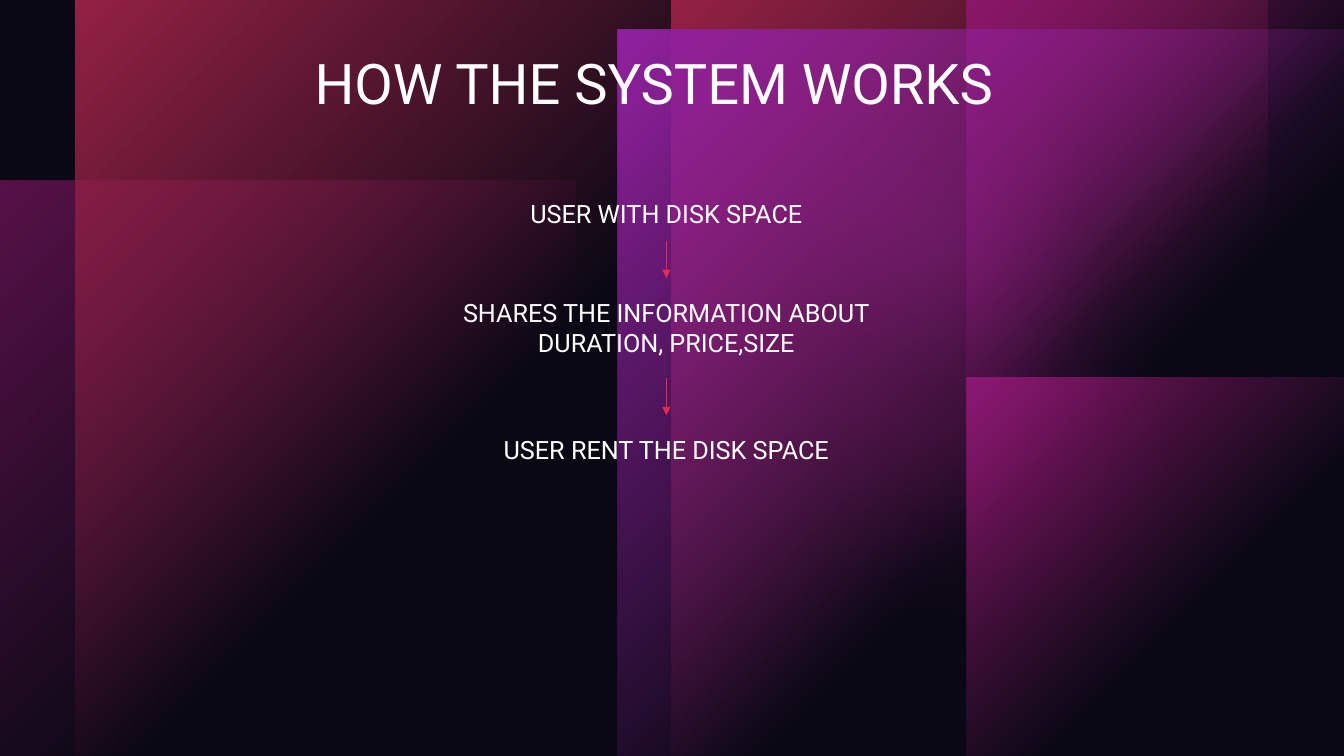
import dataclasses
import pptx
import pptx.dml.color
import pptx.enum.shapes
import pptx.enum.text
import pptx.oxml
import pptx.oxml.ns
import pptx.shapes.autoshape
import pptx.slide
import pptx.text.text
import pptx.util

Pt = pptx.util.Pt
NS = 'xmlns:a="http://schemas.openxmlformats.org/drawingml/2006/main"'
FONT = "Roboto"
HEX = {"black": "000000", "white": "FFFFFF", "red": "E72950",
       "pink": "D5178E", "violet": "DF29E7", "navy": "1A1634"}
WIDE, HIGH = 960, 540
MID = 476


@dataclasses.dataclass
class Panel:
    """A square or tall panel whose colour fades out from one corner."""
    left: float
    top: float
    width: float
    height: float
    hue: str
    turn: int = 0
    flip: bool = False
    alpha: int = 100


@dataclasses.dataclass
class Glow:
    """A round light with a soft edge."""
    left: float
    top: float
    size: float
    hue: str
    alpha: int
    soft: float


@dataclasses.dataclass
class Step:
    top: float
    width: float
    height: float
    lines: list[str]


BACK = Panel(0, 129, 411, 411, "pink", 270, alpha=60)
GLOWS = [Glow(502.5, 0, 340, "violet", 96, 100),
         Glow(482, 97, 433, "pink", 60, 127)]
PANELS = [
    Panel(479.5, 0, 425.5, 540, "red"),
    Panel(54, 0, 425.5, 540, "red", flip=True),
    Panel(690, 270, 270, 270, "pink", 90),
    Panel(690, 0, 270, 270, "pink", 90, True),
    Panel(441, 21, 519, 519, "violet", 180),
]
STEPS = [
    Step(138.2, 219, 29, ["USER WITH DISK SPACE"]),
    Step(208.8, 320, 51, ["SHARES THE INFORMATION ABOUT", "DURATION, PRICE,SIZE"]),
    Step(306.7, 252, 29, ["USER RENT THE DISK SPACE"]),
]
ARROWS = [172, 270]
REACH = 26.6


def rgb(hue: str) -> pptx.dml.color.RGBColor:
    return pptx.dml.color.RGBColor.from_string(HEX[hue])


def tint(hue: str, alpha: int) -> str:
    return f'<a:srgbClr val="{HEX[hue]}"><a:alpha val="{alpha * 1000}"/></a:srgbClr>'


def add_form(slide: pptx.slide.Slide, kind: pptx.enum.shapes.MSO_SHAPE, left: float,
             top: float, width: float, height: float,
             fill: str) -> pptx.shapes.autoshape.Shape:
    """Add a plain shape without outline, filled by the given XML."""
    shape = slide.shapes.add_shape(kind, Pt(left), Pt(top), Pt(width), Pt(height))
    shape.shadow.inherit = False
    shape.line.fill.background()
    geom = shape.element.spPr.find(pptx.oxml.ns.qn("a:prstGeom"))
    geom.addnext(pptx.oxml.parse_xml(fill))
    return shape


def add_panel(slide: pptx.slide.Slide, panel: Panel) -> None:
    fill = (f'<a:gradFill {NS} rotWithShape="1"><a:gsLst>'
            f'<a:gs pos="0">{tint(panel.hue, panel.alpha)}</a:gs>'
            f'<a:gs pos="60000">{tint(panel.hue, 0)}</a:gs></a:gsLst>'
            '<a:path path="circle"><a:fillToRect r="100000" b="100000"/></a:path>'
            '</a:gradFill>')
    shape = add_form(slide, pptx.enum.shapes.MSO_SHAPE.RECTANGLE, panel.left,
                     panel.top, panel.width, panel.height, fill)
    shape.rotation = panel.turn
    if panel.flip:
        shape.element.spPr.find(pptx.oxml.ns.qn("a:xfrm")).set("flipH", "1")


def add_glow(slide: pptx.slide.Slide, glow: Glow) -> None:
    fill = f'<a:solidFill {NS}>{tint(glow.hue, glow.alpha)}</a:solidFill>'
    shape = add_form(slide, pptx.enum.shapes.MSO_SHAPE.OVAL, glow.left, glow.top,
                     glow.size, glow.size, fill)
    edge = pptx.oxml.parse_xml(f'<a:softEdge {NS} rad="{Pt(glow.soft)}"/>')
    shape.element.spPr.find(pptx.oxml.ns.qn("a:effectLst")).append(edge)


def set_text(frame: pptx.text.text.TextFrame, lines: list[str], size: int,
             align: pptx.enum.text.PP_ALIGN) -> None:
    frame.text = "\n".join(lines)
    frame.word_wrap = False
    frame.auto_size = pptx.enum.text.MSO_AUTO_SIZE.SHAPE_TO_FIT_TEXT
    frame.vertical_anchor = pptx.enum.text.MSO_ANCHOR.TOP
    for para in frame.paragraphs:
        para.alignment = align
        para.font.name = FONT
        para.font.size = Pt(size)
        para.font.color.rgb = rgb("white")


def add_step(slide: pptx.slide.Slide, step: Step) -> None:
    box = slide.shapes.add_textbox(Pt(MID - step.width / 2), Pt(step.top),
                                   Pt(step.width), Pt(step.height))
    set_text(box.text_frame, step.lines, 18, pptx.enum.text.PP_ALIGN.CENTER)


def add_arrow(slide: pptx.slide.Slide, top: float) -> None:
    arrow = slide.shapes.add_connector(pptx.enum.shapes.MSO_CONNECTOR.STRAIGHT,
                                       Pt(MID), Pt(top), Pt(MID), Pt(top + REACH))
    arrow.line.color.rgb = rgb("red")
    arrow.line.width = Pt(0.5)
    arrow.line._get_or_add_ln().append(
        pptx.oxml.parse_xml(f'<a:tailEnd {NS} type="triangle"/>'))
    arrow.element.spPr.append(pptx.oxml.parse_xml(f'<a:effectLst {NS}/>'))


def main() -> None:
    deck = pptx.Presentation()
    deck.slide_width, deck.slide_height = Pt(WIDE), Pt(HIGH)
    slide = deck.slides.add_slide(deck.slide_layouts.get_by_name("Title Only"))

    # Backdrop
    slide.background.fill.solid()
    slide.background.fill.fore_color.rgb = rgb("black")
    add_panel(slide, BACK)
    for glow in GLOWS:
        add_glow(slide, glow)
    for panel in PANELS:
        add_panel(slide, panel)
    add_form(slide, pptx.enum.shapes.MSO_SHAPE.RECTANGLE, 0, 0, WIDE, HIGH,
             f'<a:solidFill {NS}>{tint("navy", 40)}</a:solidFill>')

    # Title, brought in front of the backdrop
    title = slide.shapes.title
    title.left, title.top = Pt(217.5), Pt(31)
    title.width, title.height = Pt(517.5), Pt(55.5)
    set_text(title.text_frame, ["HOW THE SYSTEM WORKS"], 40,
             pptx.enum.text.PP_ALIGN.LEFT)
    slide.shapes.element.append(title.element)

    # Flow
    for step in STEPS:
        add_step(slide, step)
    for top in ARROWS:
        add_arrow(slide, top)

    deck.save("out.pptx")


if __name__ == "__main__":
    main()
